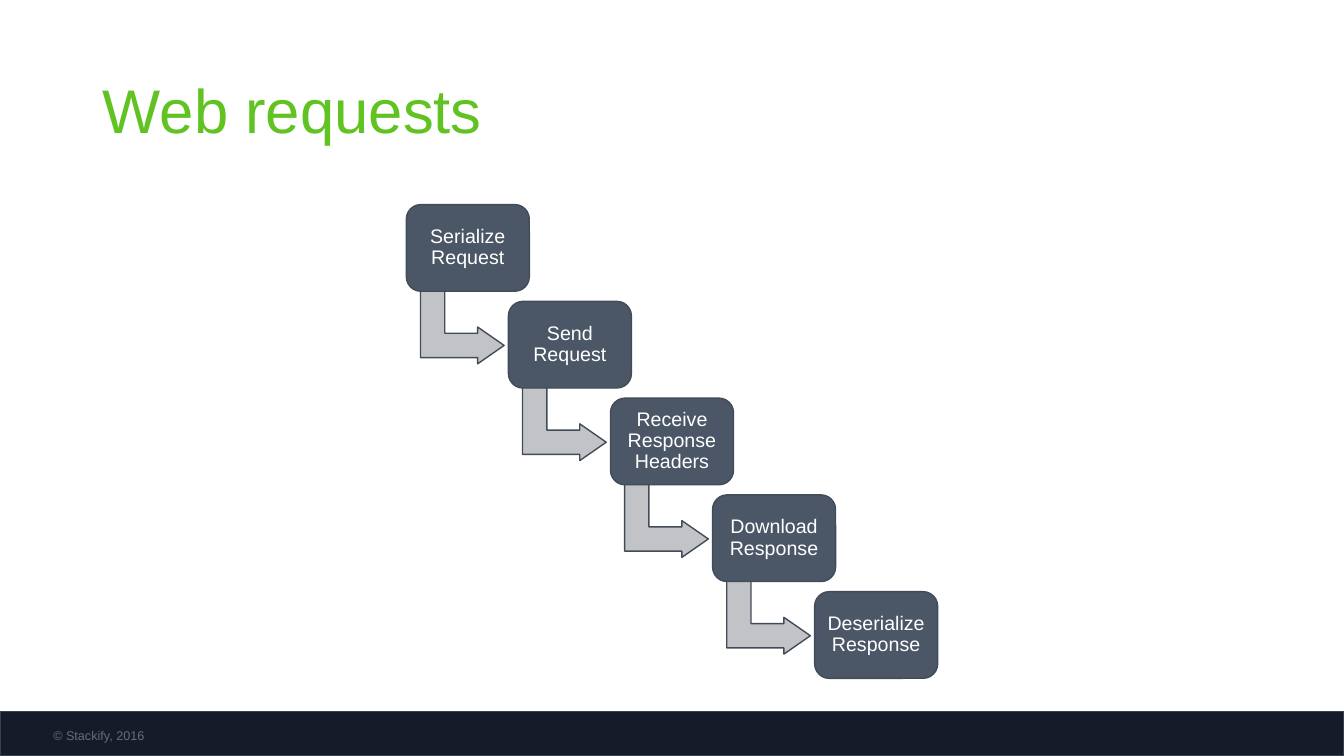
from pptx import Presentation
from pptx.dml.color import RGBColor
from pptx.enum.shapes import MSO_SHAPE as Preset
from pptx.enum.text import MSO_ANCHOR as Anchor, PP_ALIGN as Align
from pptx.util import Inches, Pt

STEPS = ["Serialize Request", "Send Request", "Receive Response Headers",
         "Download Response", "Deserialize Response"]
FIRST_LEFT, LAST_LEFT = 4.03, 8.08
FIRST_TOP, STEP_DOWN = 2.03, 0.96


def color(value):
    return RGBColor.from_string(value)


class SlideBuilder:
    """Holds the style and the current slide, and adds its elements."""
    font_name = "Arial"
    green, white, gray = "60C322", "FFFFFF", "676D7B"
    box_fill, arrow_fill, outline = "4B5766", "C1C3C6", "424C59"
    footer_fill, footer_line = "151B28", "37404B"

    def __init__(self, slide):
        self.slide = slide

    def set_text(self, shape, text, size, font_color, align=Align.LEFT, spacing=1.0):
        shape.text_frame.text = text
        paragraph = shape.text_frame.paragraphs[0]
        paragraph.alignment = align
        paragraph.line_spacing = spacing
        font = paragraph.runs[0].font
        font.name, font.size = self.font_name, Pt(size)
        font.color.rgb = color(font_color)

    def title(self, text, left, top, width, height):
        shape = self.slide.shapes.title
        shape.left, shape.top = Inches(left), Inches(top)
        shape.width, shape.height = Inches(width), Inches(height)
        shape.text_frame.vertical_anchor = Anchor.MIDDLE
        self.set_text(shape, text, 44, self.green, spacing=0.9)

    def shape(self, preset, left, top, width, height, fill, line):
        shape = self.slide.shapes.add_shape(
            preset, Inches(left), Inches(top), Inches(width), Inches(height))
        shape.shadow.inherit = False
        shape.fill.solid()
        shape.fill.fore_color.rgb = color(fill)
        shape.line.color.rgb = color(line)
        shape.line.width = Pt(1)
        return shape

    def arrow(self, left, top):
        arrow = self.shape(Preset.BENT_UP_ARROW, left, top, 0.73, 0.83,
                           self.arrow_fill, self.outline)
        arrow.rotation = 90
        for index, value in enumerate((0.33, 0.25, 0.36)):
            arrow.adjustments[index] = value

    def step(self, text, left, top):
        box = self.shape(Preset.ROUNDED_RECTANGLE, left, top, 1.22, 0.86,
                         self.box_fill, self.outline)
        frame = box.text_frame
        frame.margin_left = frame.margin_right = Inches(0.06)
        frame.margin_top = frame.margin_bottom = Inches(0.06)
        frame.word_wrap = True
        frame.vertical_anchor = Anchor.MIDDLE
        self.set_text(box, text, 14, self.white, Align.CENTER, 0.9)

    def footer(self, text):
        self.shape(Preset.RECTANGLE, 0, 7.06, 13.33, 0.44,
                   self.footer_fill, self.footer_line)
        label = self.slide.shapes.add_textbox(
            Inches(0.43), Inches(7.17), Inches(1.12), Inches(0.25))
        label.text_frame.word_wrap = False
        self.set_text(label, text, 9, self.gray)


def main():
    presentation = Presentation()
    presentation.slide_width, presentation.slide_height = Inches(13.33), Inches(7.5)
    builder = SlideBuilder(presentation.slides.add_slide(presentation.slide_layouts[5]))
    builder.title("Web requests", 0.92, 0.4, 11.5, 1.45)
    last = len(STEPS) - 1
    for index, text in enumerate(STEPS):
        left = FIRST_LEFT + index * (LAST_LEFT - FIRST_LEFT) / last
        top = FIRST_TOP + index * STEP_DOWN
        if index < last:
            builder.arrow(left + 0.19, top + 0.8)
        builder.step(text, left, top)
    builder.footer("© Stackify, 2016")
    presentation.save("out.pptx")


if __name__ == "__main__":
    main()
